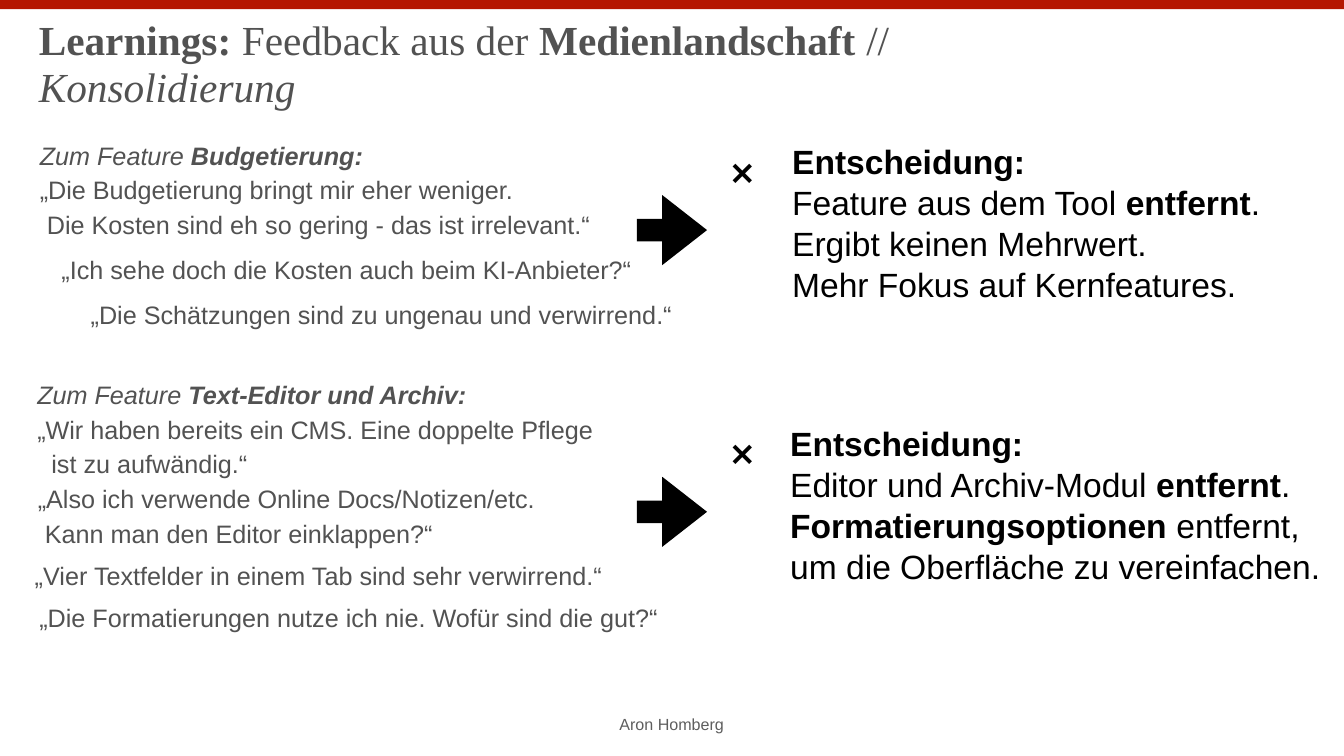
from dataclasses import dataclass

from pptx import Presentation
from pptx.dml.color import RGBColor
from pptx.enum.shapes import MSO_SHAPE
from pptx.enum.text import MSO_ANCHOR
from pptx.util import Inches, Pt


@dataclass(frozen=True)
class Theme:
    """Colours, fonts and type sizes of the deck."""
    red: str = "B51600"
    black: str = "000000"
    grey: str = "525252"
    footer_grey: str = "5E5E5E"
    serif: str = "Times New Roman"
    sans: str = "Arial"
    title: int = 59
    decision: int = 48
    quote: int = 36
    footer: int = 23


THEME = Theme()


def add_solid(page, kind, left, top, width, height, color):
    """Add a filled preset shape without outline or shadow."""
    shape = page.shapes.add_shape(kind, Inches(left), Inches(top), Inches(width), Inches(height))
    shape.shadow.inherit = False
    shape.fill.solid()
    shape.fill.fore_color.rgb = RGBColor.from_string(color)
    shape.line.fill.background()
    return shape


def add_frame(page, left, top, width, height):
    """Add an empty text box centred vertically and return its text frame."""
    box = page.shapes.add_textbox(Inches(left), Inches(top), Inches(width), Inches(height))
    frame = box.text_frame
    frame.word_wrap = True
    frame.vertical_anchor = MSO_ANCHOR.MIDDLE
    frame.margin_left = frame.margin_right = Inches(0.06)
    frame.margin_top = frame.margin_bottom = Inches(0.06)
    return frame


def add_run(para, text, style, size, color, font):
    """Add one run whose style holds b for bold and i for italic."""
    span = para.add_run()
    span.text = text
    span.font.name = font
    span.font.size = Pt(size)
    span.font.bold = "b" in style
    span.font.italic = "i" in style
    span.font.color.rgb = RGBColor.from_string(color)


def add_lines(page, area, lines, size, color, gap=0, last_indent=0):
    """Add a text box with one paragraph per line, the last one optionally indented."""
    frame = add_frame(page, *area)
    for index, line in enumerate(lines):
        para = frame.paragraphs[0] if index == 0 else frame.add_paragraph()
        if index:
            para.space_before = Pt(gap)
        if last_indent and index == len(lines) - 1:
            properties = para._p.get_or_add_pPr()
            properties.set("marL", str(Inches(last_indent)))
            properties.set("indent", "0")
        for text, style in line:
            add_run(para, text, style, size, color, THEME.sans)


def add_quote(page, left, top, width, lines, last_indent=0):
    """Add a quoted feedback block."""
    height = 0.69 + 0.67 * (len(lines) - 1)
    add_lines(page, (left, top, width, height), lines, THEME.quote, THEME.grey, 6.3, last_indent)


def add_decision(page, left, top, width, cross_top, lines):
    """Add an arrow, a cross and the decision text beside them."""
    arrow = add_solid(page, MSO_SHAPE.RIGHT_ARROW, 12.64, top + 1.1, 1.39, 1.39, THEME.black)
    arrow.adjustments[0] = 0.32
    arrow.adjustments[1] = 0.64
    heading = [("Entscheidung:", "b")]
    add_lines(page, (left, top, width, 3.29), [heading, *lines], THEME.decision, THEME.black, 1)
    add_lines(page, (14.45, cross_top, 0.79, 0.99), [[("❌", "")]], THEME.decision, THEME.black)


def add_title(page):
    """Add the two-line slide title."""
    para = add_frame(page, 0.71, 0.3, 22.29, 1.99).paragraphs[0]
    para.line_spacing = 0.95
    for text, style in [("Learnings: ", "b"), ("Feedback aus der ", ""),
                        ("Medienlandschaft", "b"), (" //", "")]:
        add_run(para, text, style, THEME.title, THEME.grey, THEME.serif)
    para.add_line_break()
    add_run(para, "Konsolidierung", "i", THEME.title, THEME.grey, THEME.serif)


def add_budget_feedback(page):
    """Add the feedback and decision on budgeting."""
    add_quote(page, 0.73, 2.75, 11.16, [
        [("Zum Feature ", "i"), ("Budgetierung:", "bi")],
        [("„Die Budgetierung bringt mir eher weniger.", "")],
        [("Die Kosten sind eh so gering - das ist irrelevant.“", "")],
    ], 0.14)
    add_quote(page, 1.16, 5, 11.65, [[("„Ich sehe doch die Kosten auch beim KI-Anbieter?“", "")]])
    add_quote(page, 1.74, 5.9, 11.77, [[("„Die Schätzungen sind zu ungenau und verwirrend.“", "")]])
    add_decision(page, 15.66, 2.77, 9.6, 2.92, [
        [("Feature aus dem Tool ", ""), ("entfernt", "b"), (".", "")],
        [("Ergibt keinen Mehrwert.", "")],
        [("Mehr Fokus auf Kernfeatures.", "")],
    ])


def add_editor_feedback(page):
    """Add the feedback and decision on the editor and archive."""
    add_quote(page, 0.68, 7.5, 11.36, [
        [("Zum Feature ", "i"), ("Text-Editor und Archiv:", "bi")],
        [("„Wir haben bereits ein CMS. Eine doppelte Pflege", "")],
        [("ist zu aufwändig.“", "")],
    ], 0.28)
    add_quote(page, 0.69, 9.56, 10.26, [
        [("„Also ich verwende Online Docs/Notizen/etc.", "")],
        [("Kann man den Editor einklappen?“", "")],
    ], 0.14)
    add_quote(page, 0.63, 11.07, 11.6, [[("„Vier Textfelder in einem Tab sind sehr verwirrend.“", "")]])
    add_quote(page, 0.72, 11.9, 12.6, [[("„Die Formatierungen nutze ich nie. Wofür sind die gut?“", "")]])
    add_decision(page, 15.62, 8.36, 10.85, 8.49, [
        [("Editor und Archiv-Modul ", ""), ("entfernt", "b"), (".", "")],
        [("Formatierungsoptionen", "b"), (" entfernt,", "")],
        [("um die Oberfläche zu vereinfachen.", "")],
    ])


def main():
    """Build and save the deck."""
    deck = Presentation()
    deck.slide_width, deck.slide_height = Inches(26.67), Inches(15)
    page = deck.slides.add_slide(deck.slide_layouts[6])
    add_solid(page, MSO_SHAPE.RECTANGLE, 0, 0, 26.67, 0.18, THEME.red)
    add_title(page)
    add_lines(page, (12.23, 14.13, 2.3, 0.49), [[("Aron Homberg", "")]],
              THEME.footer, THEME.footer_grey)
    add_budget_feedback(page)
    add_editor_feedback(page)
    deck.save("out.pptx")


if __name__ == "__main__":
    main()
